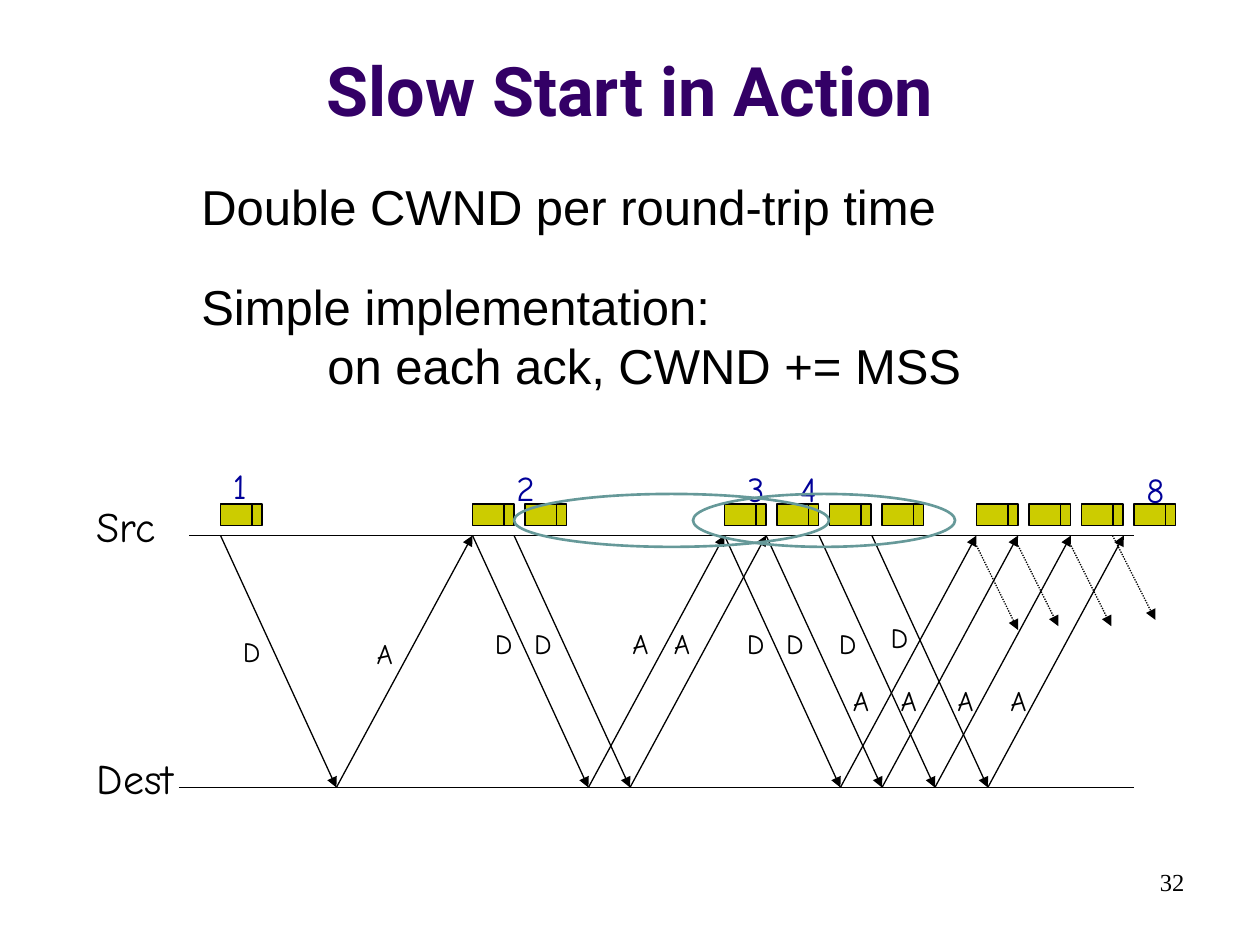
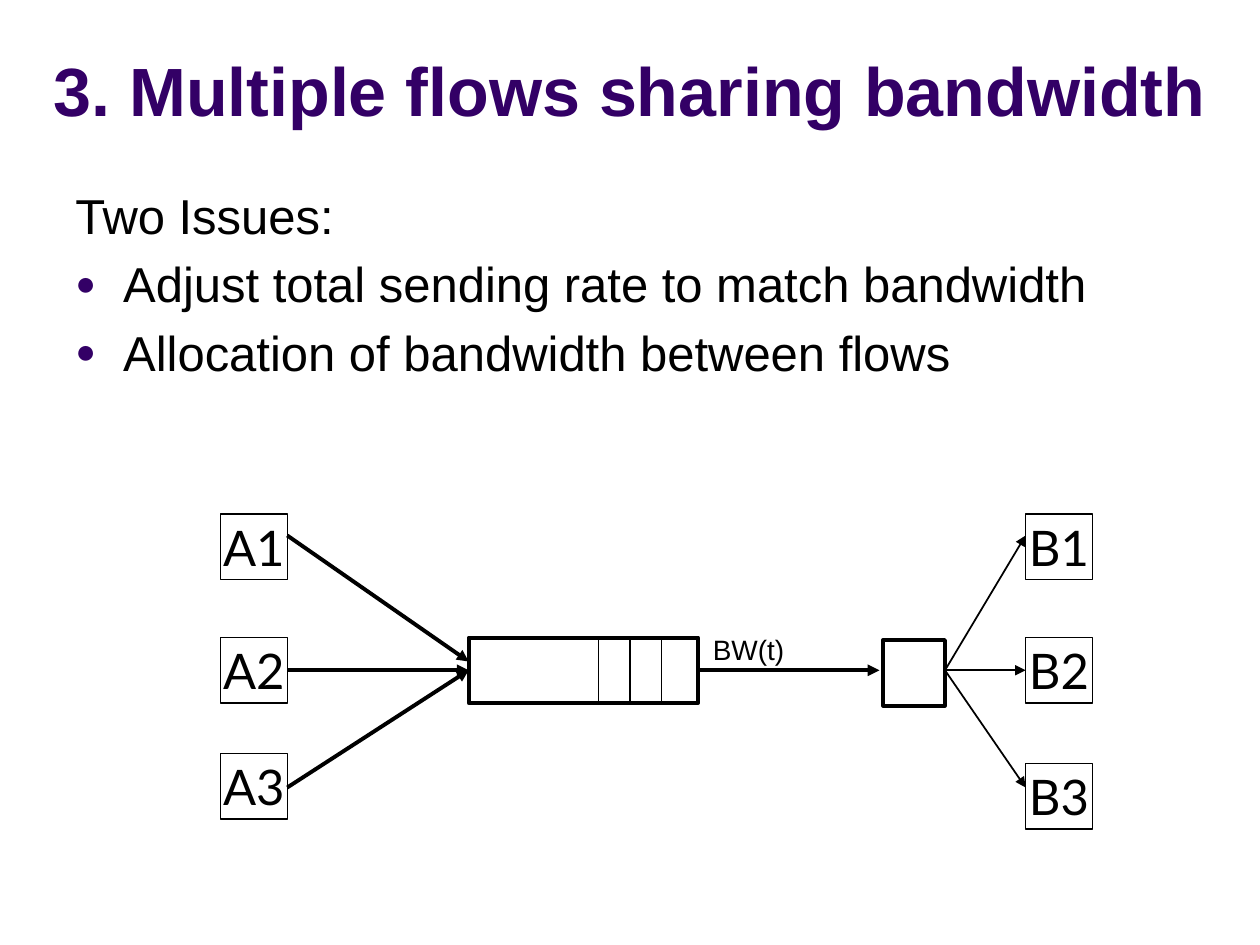
from pptx import Presentation
from pptx.dml.color import RGBColor
from pptx.enum.dml import MSO_LINE
from pptx.enum.shapes import MSO_CONNECTOR, MSO_SHAPE
from pptx.enum.text import MSO_ANCHOR, PP_ALIGN
from pptx.oxml.ns import qn
from pptx.util import Inches, Pt
from lxml import etree

BLACK = RGBColor(0x00, 0x00, 0x00)
WHITE = RGBColor(0xFF, 0xFF, 0xFF)
PURPLE = RGBColor(0x33, 0x00, 0x66)
BLUE = RGBColor(0x00, 0x00, 0x99)
YELLOW = RGBColor(0xCC, 0xCC, 0x00)
TEAL = RGBColor(0x66, 0x99, 0x99)

STRAIGHT = MSO_CONNECTOR.STRAIGHT
RECTANGLE = MSO_SHAPE.RECTANGLE
OVAL = MSO_SHAPE.OVAL
DOTTED = MSO_LINE.ROUND_DOT
LEFT, CENTER, RIGHT = PP_ALIGN.LEFT, PP_ALIGN.CENTER, PP_ALIGN.RIGHT
TOP, MIDDLE, BOTTOM = MSO_ANCHOR.TOP, MSO_ANCHOR.MIDDLE, MSO_ANCHOR.BOTTOM

HAND = "Comic Neue"
BODY = "Arial"
BODY_SIZE = 28

SOURCE_Y, DESTINATION_Y = 4.25, 6.25
ONE_WAY, ROUND_TRIP = 0.92, 2
FIRST_SEND = 1.75
PACKETS_PER_ROUND = [1, 2, 4, 4]
PACKET_PITCH = 5 / 12

FLIGHTS = [
    (1.75, 1.83, 4.99, 2.89, 5.00),
    (3.75, 3.83, 4.92, 4.92, 4.92),
    (4.08, 4.14, 4.92, 5.25, 4.92),
    (5.75, 5.83, 4.92, 6.67, 5.38),
    (6.08, 6.14, 4.92, 7.05, 5.38),
    (6.50, 6.56, 4.92, 7.50, 5.38),
    (6.92, 6.97, 4.88, 7.92, 5.38),
]
PACKET_NUMBERS = [
    ("1", 1.75, 3.64, 0.33),
    ("2", 4.00, 3.65, 0.37),
    ("3", 5.83, 3.66, 0.37),
    ("4", 6.25, 3.66, 0.37),
    ("8", 9.00, 3.67, 0.37),
]
NEXT_SENDS = [
    ((7.75, 4.33), (8.08, 5.00)),
    ((8.08, 4.33), (8.40, 4.97)),
    ((8.50, 4.33), (8.82, 4.97)),
    ((8.83, 4.25), (9.17, 4.92)),
]


class Deck:
    def __init__(self):
        self.presentation = Presentation()
        self.presentation.slide_width = Inches(10)
        self.presentation.slide_height = Inches(7.5)
        self.slide = None

    def new_slide(self, title, font):
        layout = self.presentation.slide_layouts[6]
        self.slide = self.presentation.slides.add_slide(layout)
        frame = self.text_box(0, 0.13, 10, 0.95, wrap=True, anchor=BOTTOM)
        self.add_text(frame.paragraphs[0], title, 39, font, PURPLE, CENTER, bold=True)

    def text_box(self, left, top, width, height, wrap=False, anchor=TOP):
        box = self.slide.shapes.add_textbox(
            Inches(left), Inches(top), Inches(width), Inches(height)
        )
        frame = box.text_frame
        frame.word_wrap = wrap
        frame.vertical_anchor = anchor
        return frame

    def add_text(self, paragraph, text, size, font, color=BLACK, align=LEFT, bold=False):
        paragraph.alignment = align
        run = paragraph.add_run()
        run.text = text
        run.font.size = Pt(size)
        run.font.name = font
        run.font.bold = bold
        run.font.color.rgb = color

    def label(self, text, left, top, width, height, size, font=HAND, color=BLACK, align=LEFT):
        frame = self.text_box(left, top, width, height)
        self.add_text(frame.paragraphs[0], text, size, font, color, align)

    def body(self, frame, lines):
        for index, (text, space_before, margin, bulleted) in enumerate(lines):
            paragraph = frame.paragraphs[0] if index == 0 else frame.add_paragraph()
            paragraph.space_before = Pt(space_before)
            self.add_text(paragraph, text, BODY_SIZE, BODY)
            properties = paragraph._p.get_or_add_pPr()
            properties.set("marL", str(Inches(margin)))
            if bulleted:
                self.bullet(properties, margin)

    def bullet(self, properties, margin):
        properties.set("indent", str(-Inches(margin)))
        color = etree.SubElement(properties, qn("a:buClr"))
        etree.SubElement(color, qn("a:srgbClr"), val=str(PURPLE))
        etree.SubElement(properties, qn("a:buSzPct"), val="70000")
        etree.SubElement(properties, qn("a:buFont"), typeface=BODY)
        etree.SubElement(properties, qn("a:buChar"), char="●")

    def shape(self, kind, left, top, width, height, fill=None, line=BLACK, weight=0.75):
        shape = self.slide.shapes.add_shape(
            kind, Inches(left), Inches(top), Inches(width), Inches(height)
        )
        shape.shadow.inherit = False
        if fill is None:
            shape.fill.background()
        else:
            shape.fill.solid()
            shape.fill.fore_color.rgb = fill
        shape.line.color.rgb = line
        shape.line.width = Pt(weight)
        return shape

    def line(self, start, end, weight=0.75, arrow=False, dash=None):
        connector = self.slide.shapes.add_connector(
            STRAIGHT, *(Inches(value) for value in (*start, *end))
        )
        connector.line.color.rgb = BLACK
        connector.line.width = Pt(weight)
        if dash is not None:
            connector.line.dash_style = dash
        if arrow:
            outline = connector.line._get_or_add_ln()
            etree.SubElement(outline, qn("a:tailEnd"), type="triangle")
        etree.SubElement(connector._element.spPr, qn("a:effectLst"))

    def packet(self, left):
        self.shape(RECTANGLE, left, 4, 0.33, 0.17, YELLOW)
        self.line((left + 0.25, 4), (left + 0.25, 4.17))

    def host(self, name, left, top):
        shape = self.shape(RECTANGLE, left, top, 0.53, 0.52, WHITE)
        frame = shape.text_frame
        frame.word_wrap = False
        frame.vertical_anchor = MIDDLE
        frame.margin_left = frame.margin_right = Inches(0.06)
        frame.margin_top = frame.margin_bottom = Inches(0.03)
        self.add_text(frame.paragraphs[0], name, 28, "Lato", align=CENTER)


def slow_start(deck):
    deck.new_slide("Slow Start in Action", "Roboto")
    deck.label("32", 7.17, 6.83, 2.33, 0.5, 14, "Times New Roman", align=RIGHT)
    deck.body(deck.text_box(1.5, 1.35, 6.92, 1.83, wrap=True), [
        ("Double CWND per round-trip time", 0, 0, False),
        ("Simple implementation:", 23.5, 0, False),
        ("on each ack, CWND += MSS", 0, 1, False),
    ])

    for name, width, y, start in [
        ("Src", 0.76, SOURCE_Y, 1.5),
        ("Dest", 0.94, DESTINATION_Y, 1.42),
    ]:
        deck.line((start, y), (9, y))
        deck.label(name, 0.67, y - 0.33, width, 0.5, 24)

    for round_index, count in enumerate(PACKETS_PER_ROUND):
        for index in range(count):
            deck.packet(FIRST_SEND + ROUND_TRIP * round_index + PACKET_PITCH * index)

    for send, data_x, data_y, ack_x, ack_y in FLIGHTS:
        arrival = (send + ONE_WAY, DESTINATION_Y)
        deck.line((send, SOURCE_Y), arrival, arrow=True)
        deck.line(arrival, (send + ROUND_TRIP, SOURCE_Y), arrow=True)
        deck.label("D", data_x, data_y, 0.36, 0.37, 16)
        deck.label("A", ack_x, ack_y, 0.36, 0.37, 16)

    for start, end in NEXT_SENDS:
        deck.line(start, end, arrow=True, dash=DOTTED)
    for number, left, top, width in PACKET_NUMBERS:
        deck.label(number, left, top, width, 0.43, 20, color=BLUE)
    for left, width in [(4.08, 2.5), (5.5, 2.08)]:
        deck.shape(OVAL, left, 3.92, width, 0.42, line=TEAL, weight=1.5)


def sharing_bandwidth(deck):
    deck.new_slide("3. Multiple flows sharing bandwidth", BODY)
    deck.body(deck.text_box(0.5, 1.42, 9.33, 5.29, wrap=True), [
        ("Two Issues:", 0, 0, False),
        ("Adjust total sending rate to match bandwidth", 5.6, 0.38, True),
        ("Allocation of bandwidth between flows", 5.6, 0.38, True),
    ])

    deck.shape(RECTANGLE, 3.72, 5.06, 1.82, 0.52, WHITE, weight=2.25)
    for x in (4.75, 5, 5.25):
        deck.line((x, 5.05), (x, 5.58), 1)
    deck.shape(RECTANGLE, 7.01, 5.08, 0.49, 0.52, WHITE, weight=2.25)

    middle = 5.32
    for prefix, left, tops in [
        ("A", 1.75, (4.08, 5.06, 5.98)),
        ("B", 8.14, (4.08, 5.06, 6.06)),
    ]:
        for number, top in enumerate(tops, 1):
            deck.host(f"{prefix}{number}", left, top)

    for host_y, queue_y in [(4.25, 5.25), (middle, middle), (6.25, middle)]:
        deck.line((2.28, host_y), (3.72, queue_y), 2.25, arrow=True)
        deck.line((7.5, middle), (8.14, host_y), 1, arrow=True)
    deck.line((5.54, middle), (6.98, middle), 2.25, arrow=True)
    deck.label("BW(t)", 5.56, 4.97, 0.77, 0.37, 16, BODY)


def main():
    deck = Deck()
    slow_start(deck)
    sharing_bandwidth(deck)
    deck.presentation.save("out.pptx")


if __name__ == "__main__":
    main()
